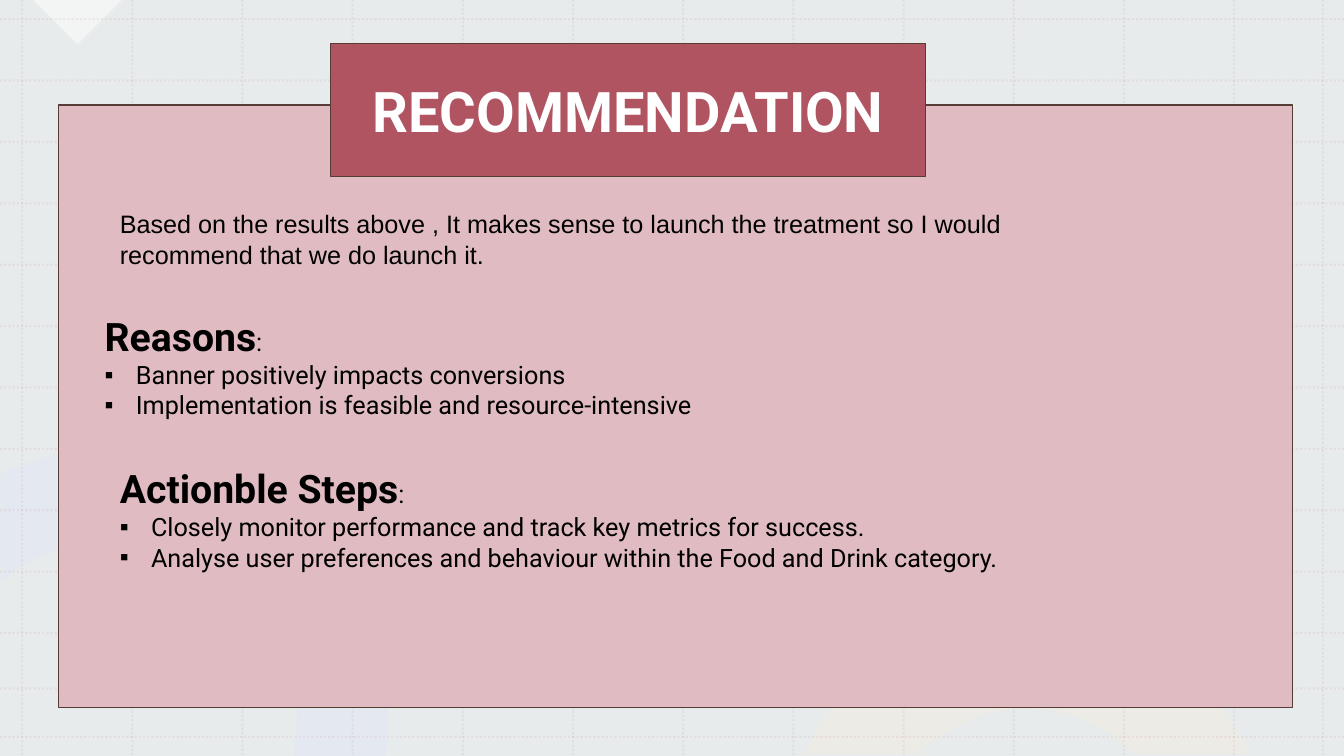
"""Build the recommendation slide with its gridded backdrop."""
import math
import pptx
import pptx.util
import pptx.dml.color
import pptx.enum.dml
import pptx.enum.shapes
import pptx.enum.text
import pptx.oxml
import pptx.oxml.ns
from lxml import etree

Inches = pptx.util.Inches
Pt = pptx.util.Pt
KINDS = pptx.enum.shapes.MSO_SHAPE
hues = {"tint": "E2E6E8", "white": "FFFFFF", "blue": "E4E9F3", "sand": "EFECE4",
        "grid": "CC9099", "panel": "E0BCC2", "title": "B15462", "edge": "553D35",
        "text": "000000"}


def paint(fill, hue, alpha=100):
    fill.solid()
    fill.fore_color.rgb = pptx.dml.color.RGBColor.from_string(hues[hue])
    if alpha < 100:
        node = fill._xPr.find(".//" + pptx.oxml.ns.qn("a:srgbClr"))
        etree.SubElement(node, pptx.oxml.ns.qn("a:alpha"), val=str(alpha * 1000))


def style(run, size, font, hue, bold=False):
    run.font.size = Pt(size)
    run.font.name = font
    run.font.bold = bold
    paint(run.font.fill, hue)


deck = pptx.Presentation()
deck.slide_width, deck.slide_height = Inches(13.33), Inches(7.5)
slide = deck.slides.add_slide(deck.slide_layouts[5])
shapes = slide.shapes
paint(slide.background.fill, "white")

tint = shapes.add_shape(KINDS.RECTANGLE, 0, 0, deck.slide_width, deck.slide_height)
paint(tint.fill, "tint", 80)
wedge = shapes.add_shape(KINDS.RIGHT_TRIANGLE, Inches(0.46), Inches(-0.31), Inches(0.62), Inches(0.62))
wedge.rotation = 315
paint(wedge.fill, "white", 50)
decor = [tint, wedge]

# centre x, centre y, then radius and start and end angle of the outer and inner arcs
rings = [
    ("blue", 1.17, 7.12, [(2.68, 115.7, -8.2), (1.78, -12.3, 130.7)]),
    ("sand", 10.18, 8.54, [(2.45, 154.4, 25.6), (1.51, 44.6, 135.4)]),
]
for hue, mid_x, mid_y, arcs in rings:
    points = []
    for radius, start, end in arcs:
        for step in range(41):
            turn = math.radians(start + (end - start) * step / 40)
            points.append((Inches(mid_x + radius * math.cos(turn)),
                           Inches(mid_y - radius * math.sin(turn))))
    path = shapes.build_freeform(*points[0])
    path.add_line_segments(points[1:], close=True)
    ring = path.convert_to_shape()
    paint(ring.fill, hue, 80)
    decor.append(ring)
for shape in decor:
    shape.shadow.inherit = False
    shape.line.fill.background()

cols = [0.22 + 12.02 * i / 11 for i in range(12)] + [13.12]
rows = [0.19 + 6.09 * i / 10 for i in range(11)] + [6.83, 7.31]
ends = [(x, 0, x, 7.5) for x in cols] + [(0, y, 13.33, y) for y in rows]
grid = shapes.add_group_shape()
for spot in ends:
    rule = grid.shapes.add_connector(pptx.enum.shapes.MSO_CONNECTOR.STRAIGHT,
                                     *[Inches(v) for v in spot])
    paint(rule.line.fill, "grid", 15)
    rule.line.width = Pt(1.5)
    rule.line.dash_style = pptx.enum.dml.MSO_LINE.ROUND_DOT
    etree.SubElement(rule._element.spPr, pptx.oxml.ns.qn("a:effectLst"))

panel = shapes.add_shape(KINDS.RECTANGLE, Inches(0.58), Inches(1.04), Inches(12.24), Inches(5.98))
panel.shadow.inherit = False
title = shapes.title
shapes._spTree.append(title._element)
title.left, title.top = Inches(3.28), Inches(0.43)
title.width, title.height = Inches(5.9), Inches(1.32)
for shape, hue in [(panel, "panel"), (title, "title")]:
    paint(shape.fill, hue)
    paint(shape.line.fill, "edge")
    shape.line.width = Pt(1)
title.text_frame.text = "RECOMMENDATION"
title.text_frame.vertical_anchor = pptx.enum.text.MSO_ANCHOR.MIDDLE
head = title.text_frame.paragraphs[0]
head.alignment = pptx.enum.text.PP_ALIGN.CENTER
style(head.runs[0], 40, "Roboto", "white", True)

intro = shapes.add_textbox(Inches(1.09), Inches(2.02), Inches(10.06), Inches(1.48))
intro.text_frame.word_wrap = True
intro.text_frame.text = ("Based on the results above , It makes sense to launch the treatment "
                         "so I would recommend that we do launch it.")
style(intro.text_frame.paragraphs[0].runs[0], 18, "Arial", "text")

lists = [
    (0.94, 3.05, 9.77, "Reasons",
     ["Banner positively impacts conversions",
      "Implementation is feasible and resource-intensive"]),
    (1.09, 4.56, 9.26, "Actionble Steps",
     ["Closely monitor performance and track key metrics for success.",
      "Analyse user preferences and behaviour within the Food and Drink category."]),
]
for left, top, width, name, items in lists:
    box = shapes.add_textbox(Inches(left), Inches(top), Inches(width), Inches(1.18))
    frame = box.text_frame
    frame.word_wrap = True
    frame.text = name
    style(frame.paragraphs[0].runs[0], 28, "Roboto", "text", True)
    colon = frame.paragraphs[0].add_run()
    colon.text = ":"
    style(colon, 18, "Roboto", "text")
    for item in items:
        para = frame.add_paragraph()
        para.text = item
        style(para.runs[0], 18, "Roboto", "text")
        props = para._p.get_or_add_pPr()
        props.set("marL", str(Inches(0.31)))
        props.set("indent", str(Inches(-0.31)))
        etree.SubElement(props, pptx.oxml.ns.qn("a:buFont"), typeface="Arial")
        etree.SubElement(props, pptx.oxml.ns.qn("a:buChar"), char="▪")

deck.save("out.pptx")
